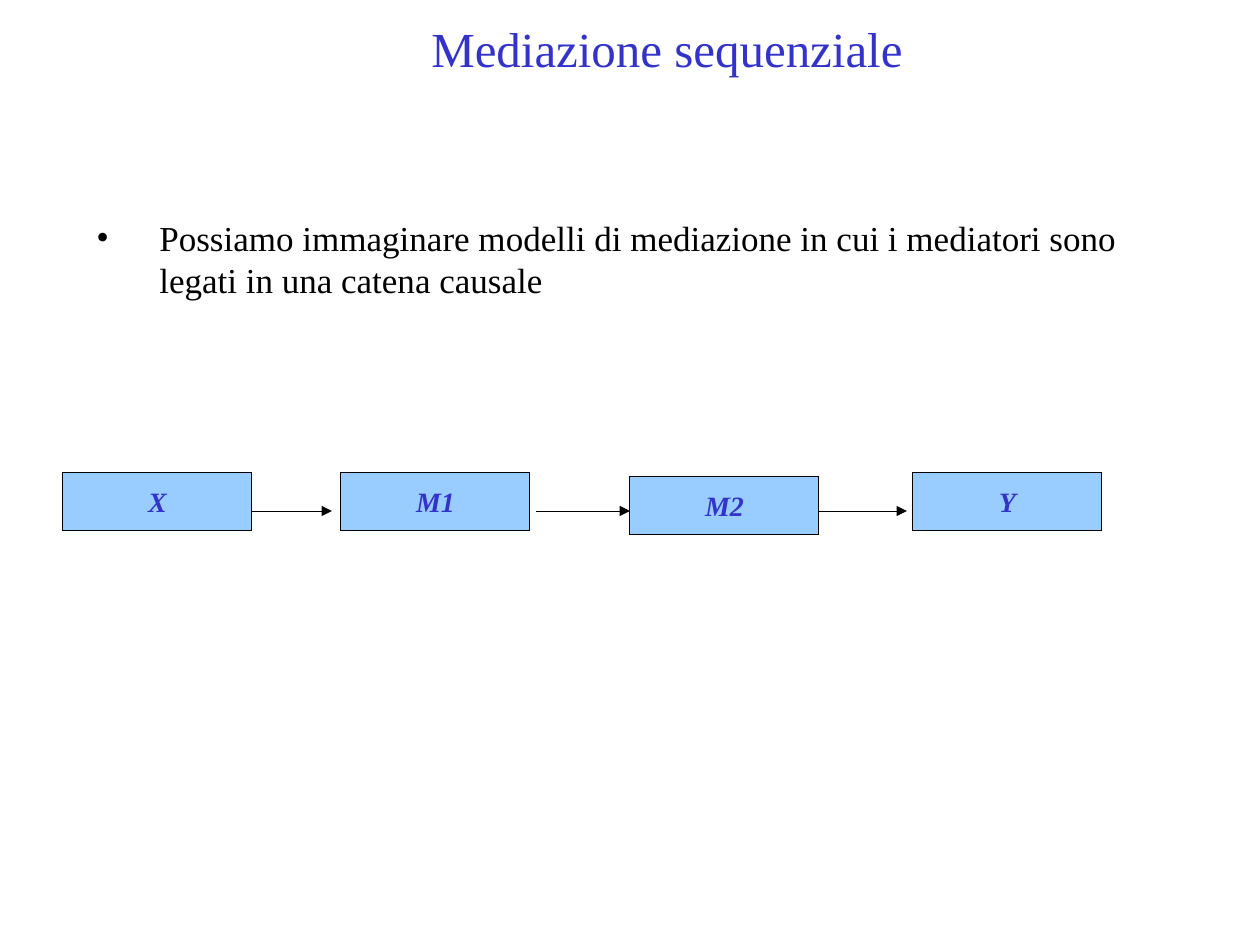
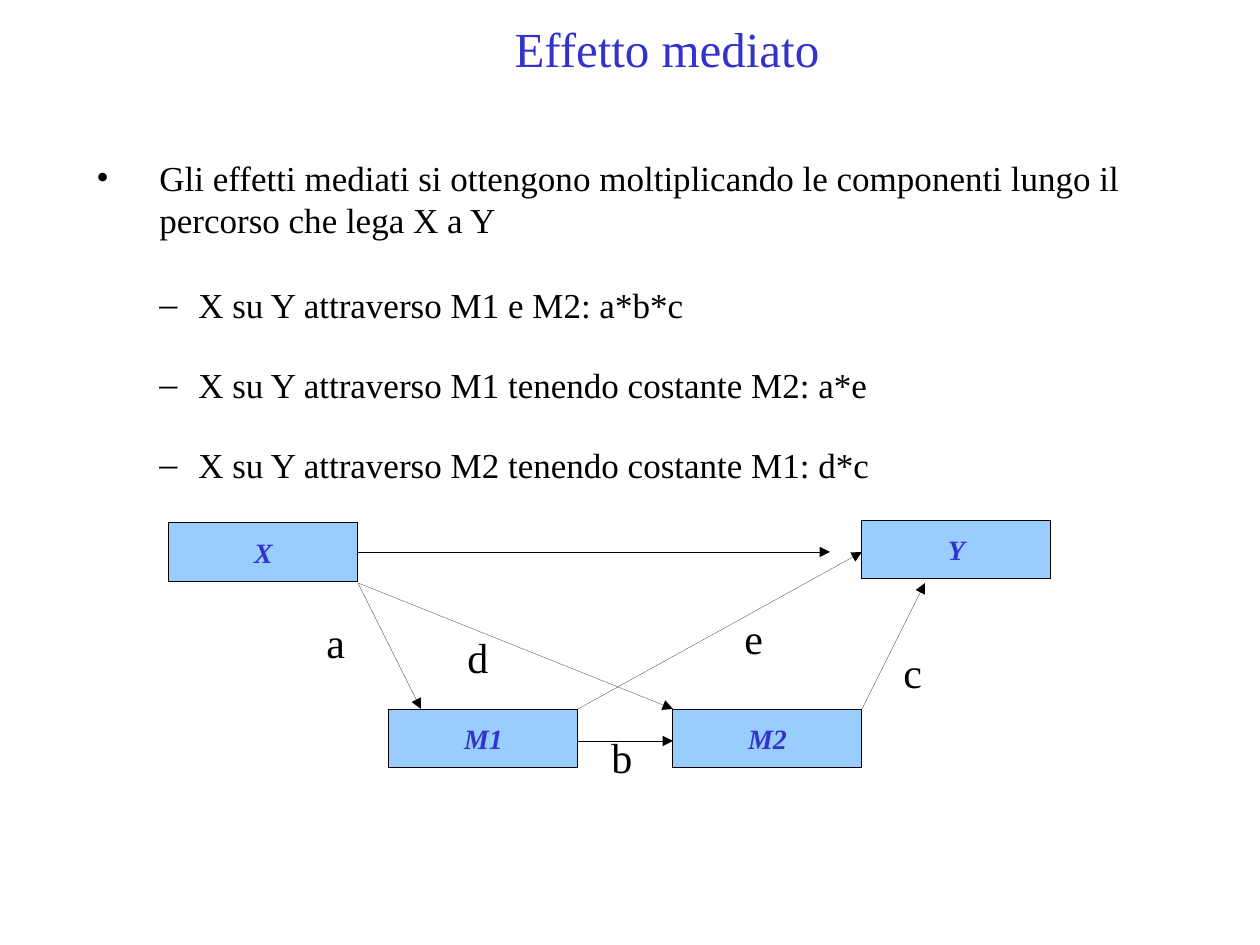
from pptx import Presentation
from pptx.dml.color import RGBColor
from pptx.enum.shapes import MSO_CONNECTOR as Link, MSO_SHAPE as Form
from pptx.enum.text import MSO_ANCHOR as Anchor, MSO_AUTO_SIZE as Fit, PP_ALIGN as Align
from pptx.oxml.ns import qn
from pptx.util import Pt
from lxml.etree import SubElement as Sub

SCALE = 914400 / 126  # EMU in one px
BLUE = RGBColor(0x33, 0x33, 0xCC)
SKY = RGBColor(0x99, 0xCC, 0xFF)
BLACK = RGBColor(0, 0, 0)
FONT = "Times New Roman"
BOX = (189, 59)
TAG = (63, 63)
# Per list level: mark, left margin, hanging indent, space before, space after
LEVELS = [("•", 63, 63, 24.9, 24.9), ("–", 102, 39, 0, 21.6)]


def emu(*px):
    return [round(n * SCALE) for n in px]


def write(page, text, at, size=20, color=BLACK, bold=False, fill=None,
          align=Align.LEFT, anchor=Anchor.TOP, marks=False):
    if fill is None:
        shape = page.shapes.add_textbox(*emu(*at))
    else:
        shape = page.shapes.add_shape(Form.RECTANGLE, *emu(*at))
        shape.shadow.inherit = False
        shape.fill.solid()
        shape.fill.fore_color.rgb = fill
        shape.line.color.rgb = BLACK
        shape.line._get_or_add_ln().set("w", "0")
    frame = shape.text_frame
    frame.text = text
    frame.word_wrap = fill is None
    frame.auto_size = Fit.SHAPE_TO_FIT_TEXT if fill is None else Fit.NONE
    frame.vertical_anchor = anchor
    for row, para in enumerate(frame.paragraphs):
        para.alignment = align
        font = para.runs[0].font
        font.name, font.size, font.color.rgb = FONT, Pt(size), color
        font.bold = font.italic = bold
        if marks:
            para.level = min(row, 1)
            mark, left, hang, before, after = LEVELS[para.level]
            para.space_before, para.space_after = Pt(before), Pt(after)
            props = para._p.get_or_add_pPr()
            left, hang = emu(left, -hang)
            props.set("marL", str(left))
            props.set("indent", str(hang))
            Sub(props, qn("a:buSzPct"), val="103000")
            Sub(props, qn("a:buFont"), typeface=FONT)
            Sub(props, qn("a:buChar"), char=mark)


# Content: title, body, arrows, boxes and path labels
PAGES = [
    dict(
        title="Mediazione sequenziale",
        body=["Possiamo immaginare modelli di mediazione in cui i mediatori sono "
              "legati in una catena causale"],
        area=(84, 210, 1124, 97),
        arrows=[(x, 511, x + 94, 511) for x in (238, 536, 813)],
        boxes=[("X", 63, 472), ("M1", 341, 472), ("M2", 630, 476), ("Y", 913, 472)],
        tags=[],
    ),
    dict(
        title="Effetto mediato",
        body=["Gli effetti mediati si ottengono moltiplicando le componenti lungo il "
              "percorso che lega X a Y",
              "X su Y attraverso M1 e M2: a*b*c",
              "X su Y attraverso M1 tenendo costante M2: a*e",
              "X su Y attraverso M2 tenendo costante M1: d*c"],
        area=(84, 150, 1124, 343),
        arrows=[(358, 583, 421, 709), (358, 583, 673, 709), (578, 709, 862, 552),
                (358, 552, 830, 552), (578, 741, 673, 741), (862, 709, 925, 583)],
        boxes=[("X", 169, 523), ("Y", 862, 520), ("M1", 389, 709), ("M2", 673, 709)],
        tags=[("a", 314, 610), ("b", 599, 725), ("c", 891, 640),
              ("d", 455, 625), ("e", 732, 606)],
    ),
]

deck = Presentation()
deck.slide_width, deck.slide_height = emu(1260, 945)

for plan in PAGES:
    page = deck.slides.add_slide(deck.slide_layouts[6])

    # Arrows, behind the boxes
    for ends in plan["arrows"]:
        arrow = page.shapes.add_connector(Link.STRAIGHT, *emu(*ends))
        arrow.line.color.rgb = BLACK
        line = arrow.line._get_or_add_ln()
        line.set("w", "0")
        Sub(line, qn("a:tailEnd"), type="triangle")
        Sub(arrow._element.spPr, qn("a:effectLst"))

    # Title and body
    write(page, plan["title"], (116, 0, 1102, 95), size=28, color=BLUE,
          align=Align.CENTER, anchor=Anchor.MIDDLE)
    write(page, "\n".join(plan["body"]), plan["area"], marks=True)

    # Variables and path labels
    for name, x, y in plan["boxes"]:
        write(page, name, (x, y, *BOX), size=16, color=BLUE, bold=True, fill=SKY,
              align=Align.CENTER, anchor=Anchor.MIDDLE)
    for name, x, y in plan["tags"]:
        write(page, name, (x, y, *TAG), size=24)

deck.save("out.pptx")
